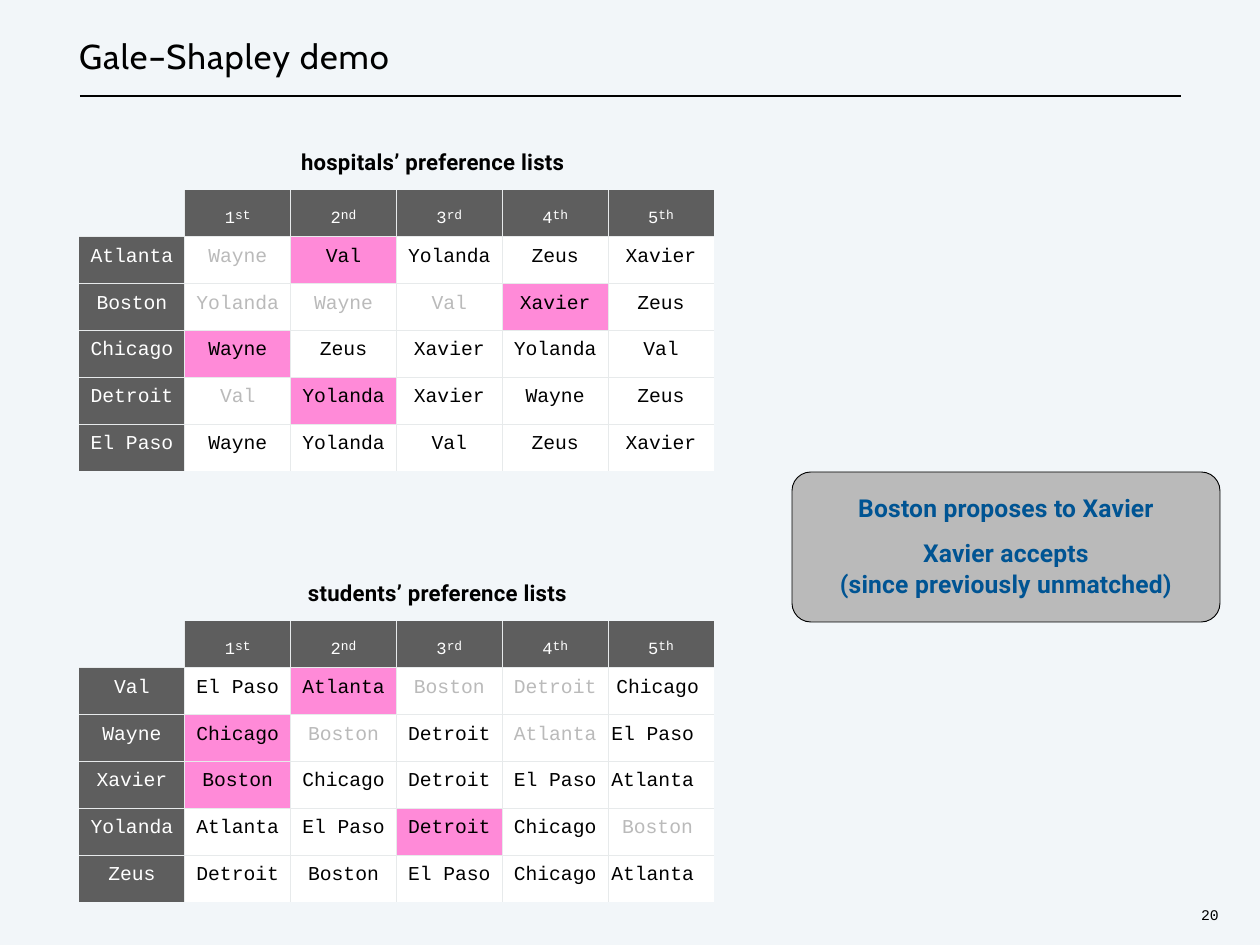
from lxml import etree
from pptx import Presentation
from pptx import util as u
from pptx.dml.color import RGBColor
from pptx.enum import shapes, text
from pptx.oxml import ns

PX = 10320  # EMU per pixel
COLORS = {
    "background": "F2F6F9", "black": "000000", "white": "FFFFFF",
    "header": "5E5E5E", "border": "E7EAEB", "rejected": "BABABA",
    "matched": "FF8AD8", "callout": "BABABA", "proposal": "005493",
}
ORDINALS = ["1st", "2nd", "3rd", "4th", "5th"]

# "*" marks a current match, "-" a rejected or crossed-out choice.
HOSPITALS = [
    ["Atlanta", "-Wayne", "*Val", "Yolanda", "Zeus", "Xavier"],
    ["Boston", "-Yolanda", "-Wayne", "-Val", "*Xavier", "Zeus"],
    ["Chicago", "*Wayne", "Zeus", "Xavier", "Yolanda", "Val"],
    ["Detroit", "-Val", "*Yolanda", "Xavier", "Wayne", "Zeus"],
    ["El Paso", "Wayne", "Yolanda", "Val", "Zeus", "Xavier"],
]
STUDENTS = [
    ["Val", "El Paso", "*Atlanta", "-Boston", "-Detroit", "Chicago"],
    ["Wayne", "*Chicago", "-Boston", "Detroit", "-Atlanta", "El Paso"],
    ["Xavier", "*Boston", "Chicago", "Detroit", "El Paso", "Atlanta"],
    ["Yolanda", "Atlanta", "El Paso", "*Detroit", "Chicago", "-Boston"],
    ["Zeus", "Detroit", "Boston", "El Paso", "Chicago", "Atlanta"],
]


def px(*lengths):
    return [u.Emu(length * PX) for length in lengths]


def rgb(name):
    return RGBColor.from_string(COLORS[name])


def set_margins(target, left=0, top=0, right=0, bottom=0):
    """Set the insets of a text frame or a table cell."""
    (target.margin_left, target.margin_top,
     target.margin_right, target.margin_bottom) = px(left, top, right, bottom)


def add_run(paragraph, words, font="Courier New", size=16, color="black",
            bold=False, spacing=0, baseline=0):
    """Append a run; spacing is in points, baseline in percent."""
    run = paragraph.add_run()
    run.text = words
    run.font.name = font
    run.font.size = u.Pt(size)
    run.font.bold = bold
    run.font.color.rgb = rgb(color)
    properties = run._r.get_or_add_rPr()
    if spacing:
        properties.set("spc", str(round(spacing * 100)))
    if baseline:
        properties.set("baseline", str(baseline * 1000))


def add_label(slide, box, words, **style):
    frame = slide.shapes.add_textbox(*px(*box)).text_frame
    frame.word_wrap = True
    set_margins(frame, top=1)
    add_run(frame.paragraphs[0], words, **style)


def draw_title(slide, box):
    left, top, width, height = box
    add_label(slide, (left, top, width, height), "Gale–Shapley demo",
              font="Cabin", size=28, spacing=0.9)
    rule = slide.shapes.add_connector(
        shapes.MSO_CONNECTOR.STRAIGHT,
        *px(left + 1, top + height, left + width, top + height))
    rule.line.color.rgb = rgb("black")
    rule.line.width = u.Pt(1)
    etree.SubElement(rule._element.spPr, ns.qn("a:effectLst"))


def set_borders(cell, visible):
    """Draw the sides named in visible and blank the others."""
    properties = cell._tc.get_or_add_tcPr()
    for index, side in enumerate("LRTB"):
        line = etree.Element(ns.qn(f"a:ln{side}"), w=str(u.Pt(1)))
        if side in visible:
            fill = etree.SubElement(line, ns.qn("a:solidFill"))
            etree.SubElement(fill, ns.qn("a:srgbClr"), val=COLORS["border"])
        else:
            etree.SubElement(line, ns.qn("a:noFill"))
        properties.insert(index, line)


def fill_cell(cell, entry, row, column):
    """Write one entry with the colours that its place and mark call for."""
    paragraph = cell.text_frame.paragraphs[0]
    paragraph.alignment = text.PP_ALIGN.CENTER
    cell.fill.solid()
    fill, color = "white", "black"
    if row == 0 and column == 0:
        fill = "background"
    elif row == 0 or column == 0:
        fill, color = "header", "white"
    elif entry.startswith("*"):
        fill = "matched"
    elif entry.startswith("-"):
        color = "rejected"
    cell.fill.fore_color.rgb = rgb(fill)
    if row == 0 and entry:
        set_margins(cell, top=5)
        add_run(paragraph, entry[0], size=24, color=color, baseline=-14)
        add_run(paragraph, entry[1:], size=10.5, color=color)
    elif entry:
        set_margins(cell, top=9)
        add_run(paragraph, entry.lstrip("*-"), color=color)


def draw_preferences(slide, box, heading, heading_left, choices,
                     last_insets=()):
    """Heading and table; last_insets right-align the last column."""
    left, top, width, height = box
    add_label(slide, (left + heading_left, top - 43, 298, 30), heading,
              font="Roboto", size=18, bold=True, spacing=0.2)
    rows = [[""] + ORDINALS] + choices
    count, columns = len(rows), len(rows[0])
    table = slide.shapes.add_table(count, columns, *px(*box)).table
    table.first_row = table.horz_banding = False
    for row, entries in enumerate(rows):
        for column, entry in enumerate(entries):
            cell = table.cell(row, column)
            fill_cell(cell, entry, row, column)
            set_borders(cell, ("L" if column else "")
                        + ("R" if column < columns - 1 else "")
                        + ("T" if row else "")
                        + ("B" if row < count - 1 else ""))
    for row, inset in enumerate(last_insets, start=1):
        cell = table.cell(row, columns - 1)
        cell.margin_right = u.Emu(inset * PX)
        cell.text_frame.paragraphs[0].alignment = text.PP_ALIGN.RIGHT


def draw_callout(slide, box, lines):
    """Rounded panel; lines are (words, points of space before)."""
    panel = slide.shapes.add_shape(
        shapes.MSO_SHAPE.ROUNDED_RECTANGLE, *px(*box))
    panel.adjustments[0] = 0.125
    panel.shadow.inherit = False
    panel.fill.solid()
    panel.fill.fore_color.rgb = rgb("callout")
    panel.line.color.rgb = rgb("black")
    panel.line.width = u.Pt(0.75)
    frame = panel.text_frame
    frame.word_wrap = True
    frame.vertical_anchor = text.MSO_ANCHOR.TOP
    set_margins(frame, top=15)
    for index, (words, space) in enumerate(lines):
        paragraph = frame.add_paragraph() if index else frame.paragraphs[0]
        paragraph.alignment = text.PP_ALIGN.CENTER
        paragraph.space_before = u.Pt(space)
        add_run(paragraph, words, font="Roboto", size=20, color="proposal",
                bold=True, spacing=0.15)


def main():
    presentation = Presentation()
    presentation.slide_width, presentation.slide_height = px(1260, 945)
    slide = presentation.slides.add_slide(presentation.slide_layouts[6])
    slide.background.fill.solid()
    slide.background.fill.fore_color.rgb = rgb("background")

    draw_title(slide, (79, 34, 1102, 62))
    draw_preferences(slide, (79, 190, 635, 281),
                     "hospitals’ preference lists", 222, HOSPITALS)
    draw_preferences(slide, (79, 621, 635, 281),
                     "students’ preference lists", 229, STUDENTS,
                     last_insets=(15, 20, 20, 21, 20))
    draw_callout(slide, (792, 472, 428, 150), [
        ("Boston proposes to Xavier", 0),
        ("Xavier accepts", 13),
        ("(since previously unmatched)", 1),
    ])
    add_label(slide, (1201, 905, 26, 20), "20", size=12)
    presentation.save("out.pptx")


if __name__ == "__main__":
    main()
